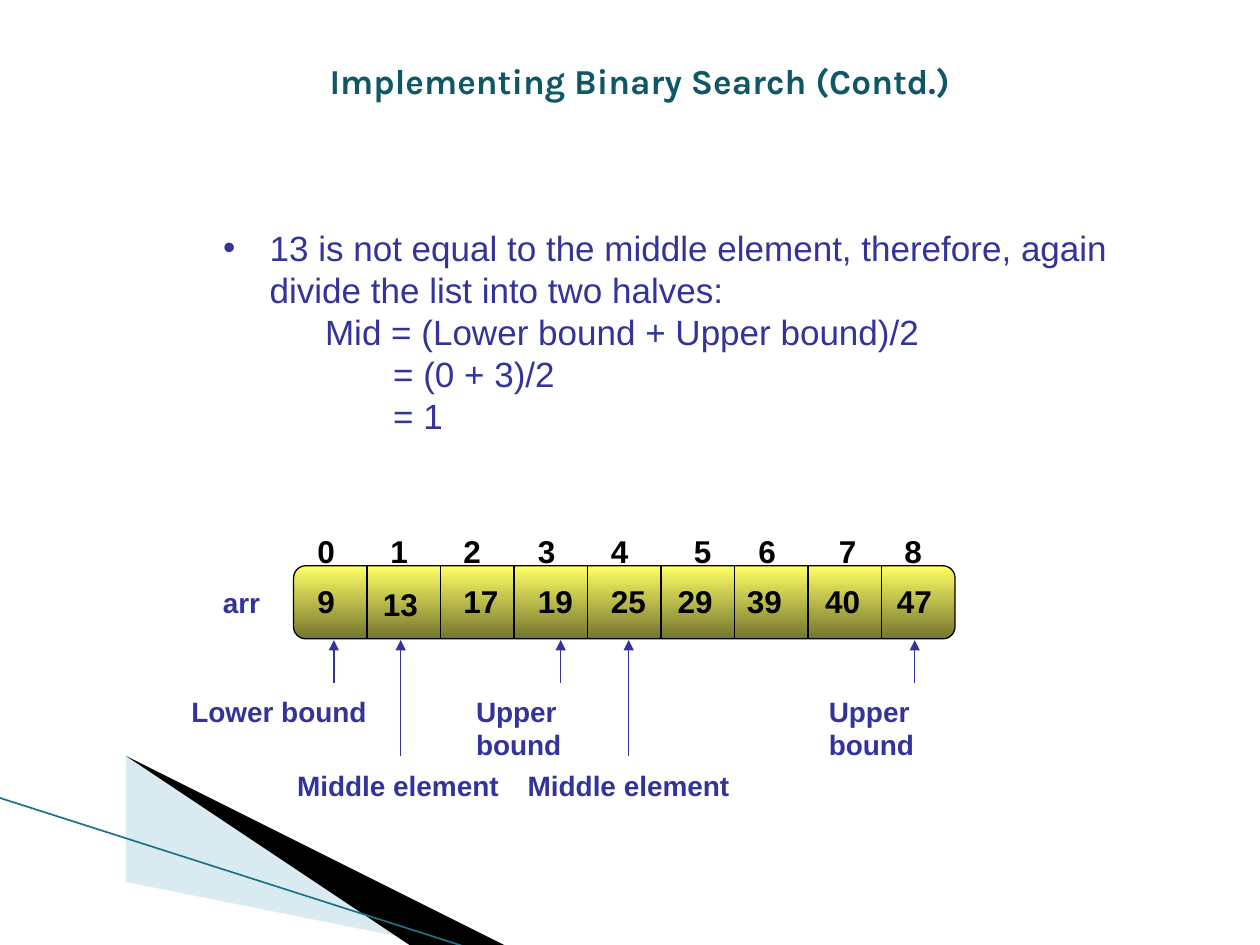
from lxml import etree
from pptx import Presentation, util as u
from pptx.dml.color import RGBColor
from pptx.enum import shapes, text
from pptx.oxml.ns import qn

COLORS = {"ink": "333399", "title": "105766", "black": "000000", "sky": "A0CBDC",
          "teal": "1A7387", "yellow": "FFFF66", "olive": "75752F"}


class Deck:
    """Holds the style and the current slide."""

    def __init__(self, prs):
        self.s = prs.slides.add_slide(prs.slide_layouts[1])

    def color(self, name):
        return RGBColor.from_string(COLORS[name])

    def run(self, p, words, size, color, bold=False, font="Arial"):
        r = p.add_run()
        r.text = words
        r.font.name, r.font.size, r.font.bold = font, u.Pt(size), bold
        r.font.color.rgb = self.color(color)

    def place(self, sp, x, y, w, h):
        sp.left, sp.top, sp.width, sp.height = map(u.Inches, (x, y, w, h))
        tf = sp.text_frame
        tf.auto_size = text.MSO_AUTO_SIZE.NONE
        tf.vertical_anchor = text.MSO_ANCHOR.TOP
        return tf

    def title(self, words, *box):
        p = self.place(self.s.shapes.title, *box).paragraphs[0]
        p.alignment = text.PP_ALIGN.CENTER
        self.run(p, words, 20, "title", True, "Karla")

    def body(self, lines, *box):
        """Each line is (words, left margin, bulleted)."""
        tf = self.place(self.s.placeholders[1], *box)
        for i, (words, margin, bulleted) in enumerate(lines):
            p = tf.add_paragraph() if i else tf.paragraphs[0]
            p.level = 0 if bulleted else 1
            p.space_before, p.line_spacing = u.Pt(0), u.Pt(24)
            pPr = p._p.get_or_add_pPr()
            pPr.set("marL", str(u.Inches(margin)))
            pPr.set("indent", str(u.Inches(-margin if bulleted else 0)))
            if bulleted:
                etree.SubElement(pPr, qn("a:buChar")).set("char", "•")
            else:
                etree.SubElement(pPr, qn("a:buNone"))
            self.run(p, words, 20, "ink")

    def label(self, words, x, y, w, h, size=16, color="ink", wrap=False, right=0.1):
        sp = self.s.shapes.add_textbox(0, 0, 0, 0)
        tf = self.place(sp, x, y, w, h)
        tf.word_wrap, tf.margin_right = wrap, u.Inches(right)
        self.run(tf.paragraphs[0], words, size, color, True)

    def line(self, x1, y1, x2, y2, color, width=0.74, arrow=False):
        c = self.s.shapes.add_connector(shapes.MSO_CONNECTOR.STRAIGHT,
                                        *map(u.Inches, (x1, y1, x2, y2)))
        c.line.color.rgb, c.line.width = self.color(color), u.Pt(width)
        if arrow:
            etree.SubElement(c.line._get_or_add_ln(), qn("a:tailEnd")).set("type", "triangle")
        etree.SubElement(c._element.spPr, qn("a:effectLst"))

    def polygon(self, points, color, alpha=100):
        fb = self.s.shapes.build_freeform(*points[0], scale=u.Inches(1))
        fb.add_line_segments(points[1:])
        sp = fb.convert_to_shape()
        sp.shadow.inherit = False
        sp.line.fill.background()
        sp.fill.solid()
        sp.fill.fore_color.rgb = self.color(color)
        if alpha < 100:
            clr = sp._element.spPr.find(".//" + qn("a:srgbClr"))
            etree.SubElement(clr, qn("a:alpha")).set("val", str(alpha * 1000))

    def bar(self, x, y, w, h):
        sp = self.s.shapes.add_shape(shapes.MSO_SHAPE.ROUNDED_RECTANGLE,
                                     *map(u.Inches, (x, y, w, h)))
        sp.adjustments[0] = 0.167
        sp.shadow.inherit = False
        sp.fill.gradient()
        sp.fill.gradient_angle = 270
        for stop, position, name in zip(sp.fill.gradient_stops, (0, 1), ("yellow", "olive")):
            stop.position, stop.color.rgb = position, self.color(name)
        sp.line.color.rgb, sp.line.width = self.color("black"), u.Pt(0.74)


prs = Presentation()
prs.slide_width, prs.slide_height = u.Inches(10), u.Inches(7.5)
d = Deck(prs)

# Corner decoration
d.polygon([(0.55, 6.51), (5.95, 7.51), (4.56, 7.51), (0.55, 6.5)], "sky", 40)
d.polygon([(0.53, 6.49), (4.57, 7.51), (3.72, 7.52), (0.54, 6.5)], "black")
d.line(-0.01, 6.33, 3.71, 7.52, "teal", 0.95)

# Title and explanation
d.title("Implementing Binary Search (Contd.)", 1.33, 0.42, 7.5, 0.44)
d.body([("13 is not equal to the middle element, therefore, again divide the list "
         "into two halves:", 0.37, True),
        ("Mid = (Lower bound + Upper bound)/2", 0.81, False),
        ("= (0 + 3)/2", 1.35, False),
        ("= 1", 1.35, False)], 1.67, 1.75, 8, 4.58)

# Array: bar, dividers, indexes and values
left, top, width, height = 2.33, 4.49, 5.25, 0.58
d.bar(left, top, width, height)
d.label("arr", 1.67, 4.6, 0.49, 0.37)
for i in range(1, 9):
    x = left + i * width / 9
    d.line(x, top, x, top + height, "black")
index_lefts = [2.42, 3, 3.58, 4.17, 4.75, 5.41, 5.92, 6.56, 7.08]
value_lefts = [2.42, 2.94, 3.58, 4.17, 4.75, 5.28, 5.83, 6.45, 7.02]
values = [9, 13, 17, 19, 25, 29, 39, 40, 47]
for i, (index_x, value_x, value) in enumerate(zip(index_lefts, value_lefts, values)):
    d.label(str(i), index_x, 4.17, 0.34, 0.4, 18, "black")
    d.label(str(value), value_x, 4.59 if i == 1 else 4.57, 0.5, 0.4, 18, "black", True)

# Pointers: words, label left, label width, arrow x, arrow start, label top
short, long = (5.42, 5.46), (6, 6.05)
for words, x, w, arrow_x, (start, y) in [
        ("Lower bound", 1.42, 1.59, 2.65, short),
        ("Middle element", 2.26, 1.8, 3.18, long),
        ("Upper bound", 3.68, 1.57, 4.45, short),
        ("Middle element", 4.09, 1.8, 4.99, long),
        ("Upper bound", 6.48, 1.57, 7.26, short)]:
    two_lines = words.startswith("Upper")
    d.label(words, x, y, w, 0.37, wrap=two_lines, right=0.5 if two_lines else 0.1)
    d.line(arrow_x, start, arrow_x, 5.08, "ink", arrow=True)

prs.save("out.pptx")
